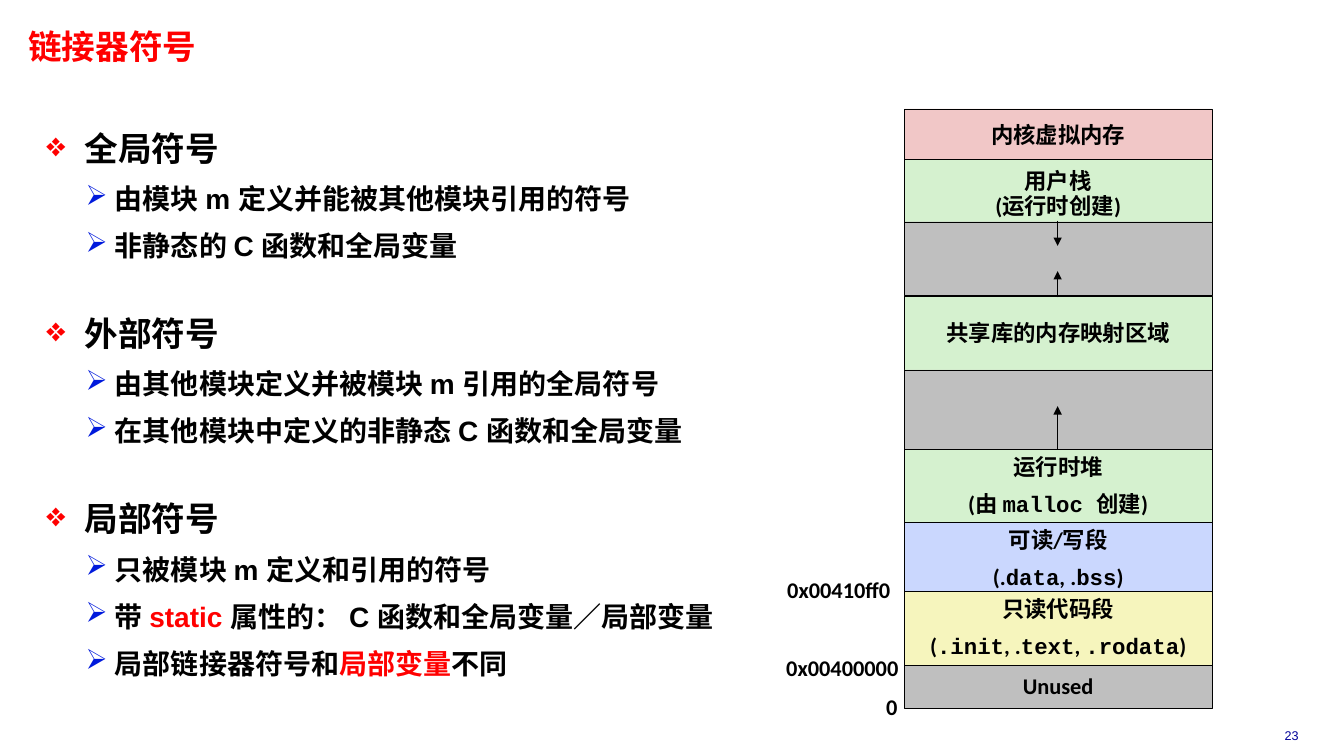
from lxml.etree import SubElement
from pptx import Presentation
from pptx.dml.color import RGBColor
from pptx.enum.shapes import MSO_CONNECTOR, MSO_SHAPE
from pptx.enum.text import MSO_ANCHOR, PP_ALIGN
from pptx.oxml.ns import qn
from pptx.util import Inches, Pt

GRID = Inches(0.1)
BLACK, RED, BLUE, NAVY = "000000", "FF0000", "001ADC", "000099"
GRAY, GREEN = "BFBFBF", "D5F1CF"
ASIAN_FONT = "Noto Sans CJK SC"
CODE = {"name": "Courier New"}
MEMORY_LEFT, MEMORY_WIDTH, ARROW_COLUMN = 89.7, 30.5, 104.9

BULLETS = {
    0: {"character": "❖", "color": RED, "margin": 0.38, "hanging": 0.38,
        "size": 24, "line_spacing": 1.15},
    1: {"character": "➢", "color": BLUE, "margin": 0.68, "hanging": 0.29,
        "size": 20, "line_spacing": 1.4},
}

SYMBOL_GROUPS = [
    ("全局符号", [["由模块 m 定义并能被其他模块引用的符号"],
              ["非静态的 C 函数和全局变量"]]),
    ("外部符号", [["由其他模块定义并被模块 m 引用的全局符号"],
              ["在其他模块中定义的非静态 C 函数和全局变量"]]),
    ("局部符号", [["只被模块 m 定义和引用的符号"],
              ["带 ", ("static ", {"color": RED}), "属性的： C 函数和全局变量／局部变量"],
              ["局部链接器符号和", ("局部变量", {"color": RED}), "不同"]]),
]

MEMORY_REGIONS = [
    (10.8, 5.3, "F1C7C7", [["内核虚拟内存"]], {}),
    (29.4, 7.3, GREEN, [["共享库的内存映射区域"]], {}),
    (36.7, 7.9, GRAY, [], {}),
    (44.6, 7.3, GREEN, [["运行时堆"], ["(由 ", ("malloc 创建", CODE), ")"]], {}),
    (19.4, 9.9, GRAY, [], {}),
    (15.8, 6.2, GREEN, [["用户栈"], ["(运行时创建)"]],
     {"anchor": MSO_ANCHOR.BOTTOM, "line_spacing": 0.5}),
    (66, 4.3, GRAY, [["Unused"]], {}),
    (51.8, 7.3, "CAD7FE",
     [["可读/写段"], ["(.", ("data", CODE), ", .", ("bss", CODE), ")"]], {}),
    (58.7, 7.3, "F6F5BD",
     [["只读代码段"],
      ["(", (".init", CODE), ", .", ("text", CODE), ", ", (".rodata", CODE), ")"]], {}),
]

ARROWS = [(44.5, 40.3), (29.5, 26.9), (21.9, 24.4)]
ADDRESSES = [("0", 86.9, 68.4, 3.1, 0.98), ("0x00400000", 77, 64.6, 13.3, 0.94),
             ("0x00410ff0", 77.1, 56.9, 12.4, 0.94)]


def color_of(value):
    return RGBColor.from_string(value)


def set_attributes(target, values):
    for name, value in values.items():
        setattr(target, name, value)


def place(*cells):
    return [round(cell * GRID) for cell in cells]


def set_frame(frame, margins=(0.1, 0.05), wrap=False, anchor=MSO_ANCHOR.TOP):
    side, edge = map(Inches, margins)
    set_attributes(frame, {"margin_left": side, "margin_right": side,
                           "margin_top": edge, "margin_bottom": edge,
                           "word_wrap": wrap, "vertical_anchor": anchor})


def add_runs(paragraph, pieces, size, name="Calibri", bold=True, color=BLACK):
    for piece in pieces:
        text, changes = (piece, {}) if isinstance(piece, str) else piece
        values = {"name": name, "size": Pt(size), "bold": bold, "color": color} | changes
        run = paragraph.add_run()
        run.text = text
        run.font.color.rgb = color_of(values.pop("color"))
        set_attributes(run.font, values)
        asian = SubElement(run.font._element, qn("a:ea"))
        asian.set("typeface", ASIAN_FONT)


def fill_lines(frame, lines, line_spacing=0.98, alignment=PP_ALIGN.LEFT, **font):
    for index, pieces in enumerate(lines):
        paragraph = frame.add_paragraph() if index else frame.paragraphs[0]
        set_attributes(paragraph, {"alignment": alignment, "line_spacing": line_spacing,
                                   "space_before": Pt(7.7 if index else 0)})
        add_runs(paragraph, pieces, **font)


def add_label(slide, cells, text, margins=(0.1, 0.05), **format_values):
    frame = slide.shapes.add_textbox(*place(*cells)).text_frame
    set_frame(frame, margins)
    fill_lines(frame, [[text]], **format_values)


def add_bullet(paragraph, character, color, margin, hanging):
    properties = paragraph._p.get_or_add_pPr()
    properties.set("marL", str(Inches(margin)))
    properties.set("indent", str(-Inches(hanging)))
    bullet_color = SubElement(properties, qn("a:buClr"))
    SubElement(bullet_color, qn("a:srgbClr")).set("val", color)
    SubElement(properties, qn("a:buChar")).set("char", character)


def add_symbol_list(slide):
    frame = slide.shapes.add_textbox(*place(3.9, 11.8, 72, 59.6)).text_frame
    set_frame(frame, (0.07, 0.03), wrap=True)
    entries = [entry for heading, details in SYMBOL_GROUPS
               for entry in [(0, [heading])] + [(1, detail) for detail in details]]
    for index, (level, pieces) in enumerate(entries):
        paragraph = frame.add_paragraph() if index else frame.paragraphs[0]
        style = dict(BULLETS[level])
        size, line_spacing = style.pop("size"), style.pop("line_spacing")
        gap = Pt(32 if index and level == 0 else 0)
        set_attributes(paragraph, {"level": level, "line_spacing": line_spacing,
                                   "space_before": gap})
        add_bullet(paragraph, **style)
        add_runs(paragraph, pieces, size, "Arial")


def add_region(slide, top, height, fill, lines, anchor=MSO_ANCHOR.MIDDLE, line_spacing=0.98):
    shape = slide.shapes.add_shape(MSO_SHAPE.RECTANGLE,
                                   *place(MEMORY_LEFT, top, MEMORY_WIDTH, height))
    shape.shadow.inherit = False
    shape.fill.solid()
    shape.fill.fore_color.rgb = color_of(fill)
    shape.line.color.rgb = color_of(BLACK)
    shape.line.width = Pt(0.25)
    set_frame(shape.text_frame, anchor=anchor)
    fill_lines(shape.text_frame, lines, line_spacing, PP_ALIGN.CENTER, size=16)


def add_arrow(slide, start, end):
    connector = slide.shapes.add_connector(
        MSO_CONNECTOR.STRAIGHT, *place(ARROW_COLUMN, start, ARROW_COLUMN, end))
    connector.line.color.rgb = color_of(BLACK)
    connector.line.width = Pt(0.25)
    SubElement(connector.line._get_or_add_ln(), qn("a:tailEnd")).set("type", "triangle")
    SubElement(connector._element.spPr, qn("a:effectLst"))


def main():
    presentation = Presentation()
    set_attributes(presentation, {"slide_width": Inches(13.33), "slide_height": Inches(7.5)})
    slide = presentation.slides.add_slide(presentation.slide_layouts[6])
    add_label(slide, (2.1, 2.8, 77.9, 4.7), "链接器符号", (0.07, 0.03),
              line_spacing=0.87, size=24, name="Arial", color=RED)
    add_symbol_list(slide)
    for top, height, fill, lines, options in MEMORY_REGIONS:
        add_region(slide, top, height, fill, lines, **options)
    for start, end in ARROWS:
        add_arrow(slide, start, end)
    for text, left, top, width, line_spacing in ADDRESSES:
        add_label(slide, (left, top, width, 3.6), text, line_spacing=line_spacing, size=16)
    add_label(slide, (123.4, 71.7, 9.4, 2.5), "23", alignment=PP_ALIGN.CENTER,
              line_spacing=1, size=9, name="Arial", bold=False, color=NAVY)
    presentation.save("out.pptx")


if __name__ == "__main__":
    main()
